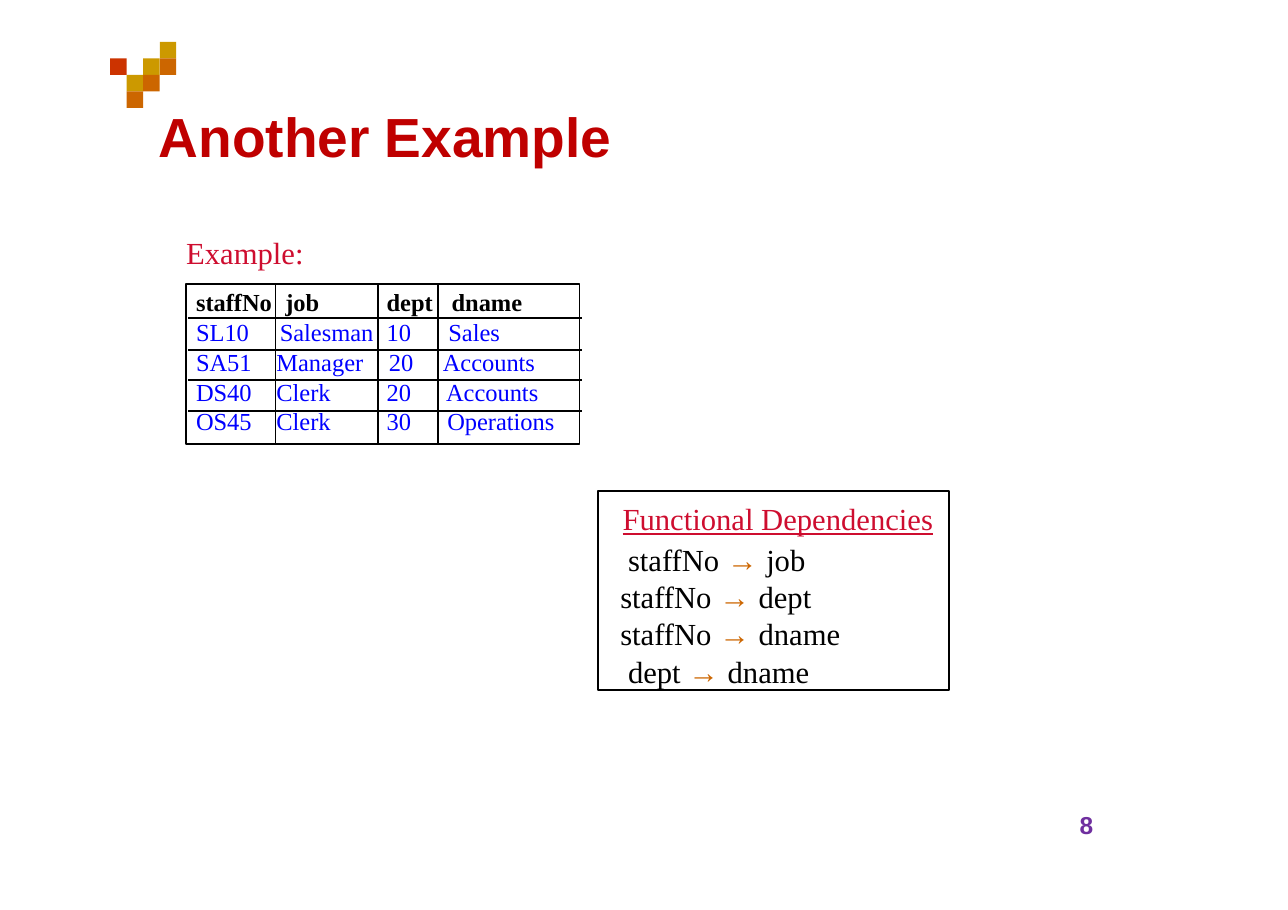
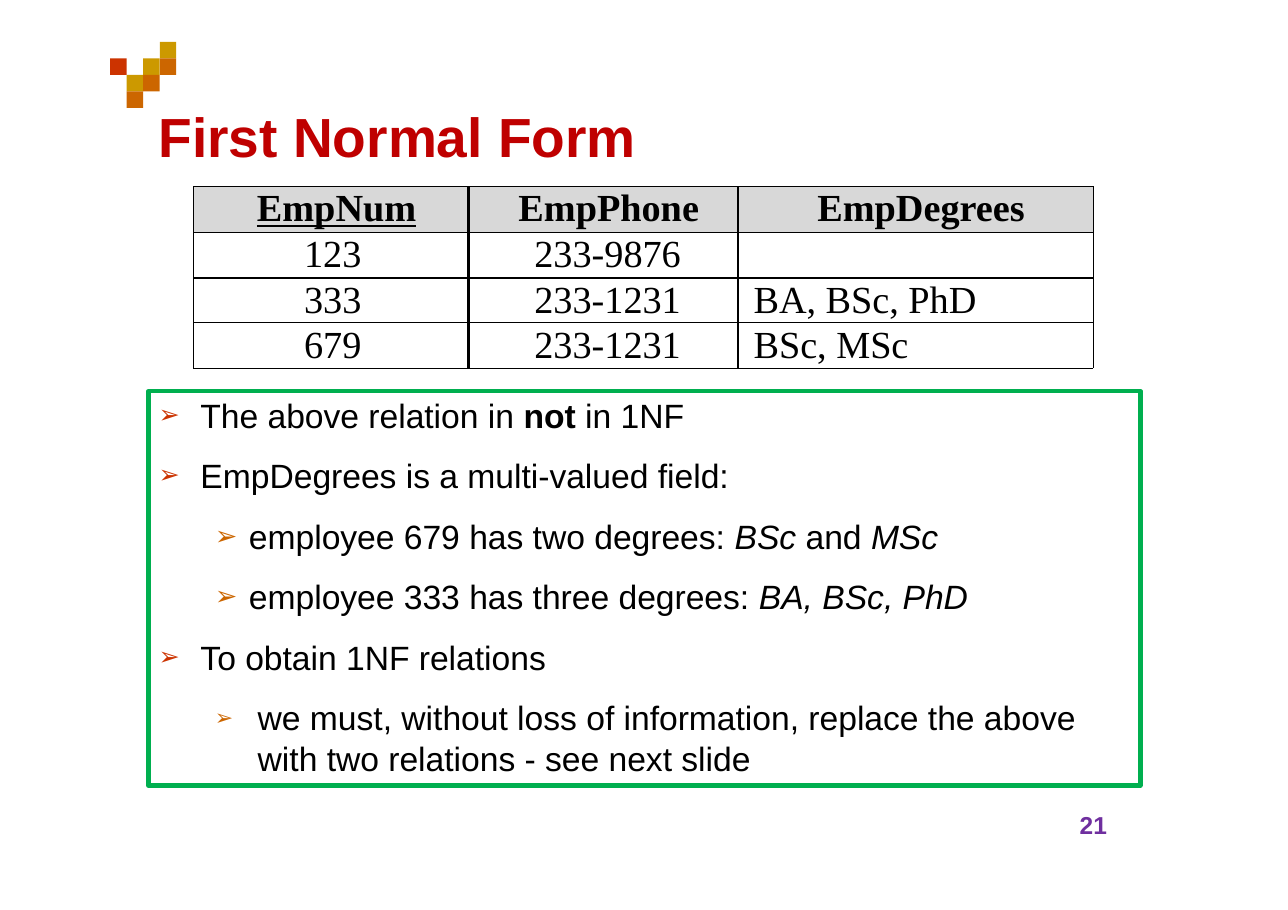
import pptx
import pptx.util
import pptx.dml.color
import pptx.enum.shapes
import pptx.enum.text
import pptx.oxml
import pptx.oxml.ns

Inches, Pt = pptx.util.Inches, pptx.util.Pt
rgb = pptx.dml.color.RGBColor.from_string
RECT = pptx.enum.shapes.MSO_SHAPE.RECTANGLE
ALIGN = pptx.enum.text.PP_ALIGN
NS = pptx.oxml.ns.nsdecls("a")

SANS, SERIF = "Arial", "Times New Roman"
BLACK, BLUE, CRIMSON, GREEN, GREY = "000000", "0000FF", "CE0D2F", "00AF4F", "D8D8D8"
TITLE, NUMBER = "BF0000", "6F2F9F"
GOLD, ORANGE, RED = "CC9900", "CC6600", "CC3300"


def add_run(p, text, size, color, font=SANS, **style):
    r = p.add_run()
    r.text = text
    r.font.name, r.font.size = font, Pt(size)
    r.font.color.rgb = rgb(color)
    for name, value in style.items():
        setattr(r.font, name, value)


def set_frame(sp, left, top, width, height):
    """Place a text shape, clear its insets and return its text frame."""
    sp.left, sp.top = Inches(left), Inches(top)
    sp.width, sp.height = Inches(width), Inches(height)
    tf = sp.text_frame
    tf.word_wrap = True
    tf.auto_size = pptx.enum.text.MSO_AUTO_SIZE.NONE
    tf.vertical_anchor = pptx.enum.text.MSO_ANCHOR.TOP
    tf.margin_left = tf.margin_right = tf.margin_top = tf.margin_bottom = 0
    return tf


prs = pptx.Presentation()
prs.slide_width, prs.slide_height = Inches(11.69), Inches(8.26)

# Shared parts: corner squares, title, page number
squares = [(3, 0, GOLD), (0, 1, RED), (2, 1, GOLD), (3, 1, ORANGE),
           (1, 2, GOLD), (2, 2, ORANGE), (1, 3, ORANGE)]
for title, number in [("Another Example", "8"), ("First Normal Form", "21")]:
    s = prs.slides.add_slide(prs.slide_layouts[5])
    for col, row, color in squares:
        sp = s.shapes.add_shape(RECT, Inches(1 + 0.15 * col), Inches(0.38 + 0.15 * row),
                                Inches(0.15), Inches(0.15))
        sp.shadow.inherit = False
        sp.fill.solid()
        sp.fill.fore_color.rgb = rgb(color)
        sp.line.fill.background()
    p = set_frame(s.shapes.title, 1.44, 0.93, 8.5, 0.63).paragraphs[0]
    p.alignment = ALIGN.LEFT
    add_run(p, title, 36, TITLE, bold=True)
    p = set_frame(s.shapes.add_textbox(0, 0, 0, 0), 9.8, 7.35, 0.4, 0.28).paragraphs[0]
    add_run(p, number, 16, NUMBER, bold=True)

example, normal_form = prs.slides

# Outlined frames
for s, box, color, weight in [
    (example, (1.69, 2.58, 3.57, 1.45), BLACK, 1.25),
    (example, (5.43, 4.46, 3.18, 1.8), BLACK, 1.25),
    (normal_form, (1.35, 3.55, 9, 3.58), GREEN, 3),
]:
    sp = s.shapes.add_shape(RECT, *[Inches(v) for v in box])
    sp.shadow.inherit = False
    sp.fill.background()
    sp.line.color.rgb = rgb(color)
    sp.line.width = Pt(weight)

# Tables: indents are cell left margins, vlines and hlines are rule widths
tables = [
    dict(slide=example, left=1.71, top=2.58, size=16, body=BLUE, fill=None,
         cols=[0.79, 0.93, 0.55, 1.3], rows=[0.31, 0.29, 0.27, 0.28, 0.31],
         leading=[18.5, 18.9, 17.5, 17.5, 16.3], head_margin=0.04,
         vlines=[0, 1, 1, 1.5, 0], hlines=[0, 1.5, 1.5, 1.5, 1.5, 0],
         centred=[], underlined=[],
         indents=[[0.07, 0.09, 0.08, 0.12], [0.07, 0.04, 0.08, 0.09],
                  [0.07, 0.01, 0.1, 0.04], [0.07, 0.01, 0.08, 0.07],
                  [0.07, 0.01, 0.08, 0.08]],
         cells=[["staffNo", "job", "dept", "dname"],
                ["SL10", "Salesman", "10", "Sales"],
                ["SA51", "Manager", "20", "Accounts"],
                ["DS40", "Clerk", "20", "Accounts"],
                ["OS45", "Clerk", "30", "Operations"]]),
    dict(slide=normal_form, left=1.76, top=1.69, size=25, body=BLACK, fill=GREY,
         cols=[2.49, 2.45, 3.22], rows=[0.42, 0.41, 0.41, 0.41],
         leading=[28.7, 28.3, 28.7, 28.9], head_margin=0,
         vlines=[0.75, 2.25, 1.5, 0.25], hlines=[0.25, 0.25, 1.5, 0.5, 0.25],
         centred=[(0, 0), (0, 1), (0, 2)] + [(i, j) for i in (1, 2, 3) for j in (0, 1)],
         underlined=["EmpNum"],
         indents=[[0.1] * 3] + [[0.03, 0.08, 0.14]] * 3,
         cells=[["EmpNum", "EmpPhone", "EmpDegrees"],
                ["123", "233-9876", ""],
                ["333", "233-1231", "BA, BSc, PhD"],
                ["679", "233-1231", "BSc, MSc"]]),
]
for t in tables:
    tbl = t["slide"].shapes.add_table(
        len(t["rows"]), len(t["cols"]), Inches(t["left"]), Inches(t["top"]),
        Inches(sum(t["cols"])), Inches(sum(t["rows"]))).table
    tbl.first_row = tbl.horz_banding = False
    for j, width in enumerate(t["cols"]):
        tbl.columns[j].width = Inches(width)
    for i, height in enumerate(t["rows"]):
        tbl.rows[i].height = Inches(height)
        for j, text in enumerate(t["cells"][i]):
            head = i == 0
            cell = tbl.cell(i, j)
            cell.margin_left = Inches(t["indents"][i][j])
            cell.margin_right = cell.margin_bottom = 0
            cell.margin_top = Inches(t["head_margin"] if head else 0)
            if head and t["fill"]:
                cell.fill.solid()
                cell.fill.fore_color.rgb = rgb(t["fill"])
            else:
                cell.fill.background()
            p = cell.text_frame.paragraphs[0]
            p.line_spacing = Pt(t["leading"][i])
            p.alignment = ALIGN.CENTER if (i, j) in t["centred"] else ALIGN.LEFT
            if text:
                add_run(p, text, t["size"], BLACK if head else t["body"], SERIF,
                        bold=head, underline=text in t["underlined"])
            # Cell borders
            rules = [("lnL", t["vlines"][j]), ("lnR", t["vlines"][j + 1]),
                     ("lnT", t["hlines"][i]), ("lnB", t["hlines"][i + 1])]
            for k, (tag, weight) in enumerate(rules):
                paint = (f'<a:solidFill><a:srgbClr val="{BLACK}"/></a:solidFill>'
                         if weight else "<a:noFill/>")
                cell._tc.get_or_add_tcPr().insert(k, pptx.oxml.parse_xml(
                    f'<a:{tag} {NS} w="{int(Pt(weight))}">{paint}</a:{tag}>'))

# Example label
p = set_frame(example.shapes.add_textbox(0, 0, 0, 0), 1.69, 2.12, 1.2, 0.36).paragraphs[0]
add_run(p, "Example:", 20, CRIMSON, SERIF)

# Functional dependencies
tf = set_frame(example.shapes.add_textbox(0, 0, 0, 0), 5.62, 4.54, 2.95, 1.7)
p = tf.paragraphs[0]
p._p.get_or_add_pPr().set("marL", str(Inches(0.03)))
add_run(p, "Functional Dependencies", 20, CRIMSON, SERIF, underline=True)
for source, target, indent, before in [
    ("staffNo", "job", 0.08, 2.5), ("staffNo", "dept", 0.01, 0),
    ("staffNo", "dname", 0.01, 0.5), ("dept", "dname", 0.08, 1),
]:
    p = tf.add_paragraph()
    p._p.get_or_add_pPr().set("marL", str(Inches(indent)))
    p.space_before = Pt(before)
    add_run(p, source + " ", 20, BLACK, SERIF)
    add_run(p, "→ ", 20, ORANGE)
    add_run(p, target, 20, BLACK, SERIF)

# Bullets: level, text indent, bullet indent, bullet size, runs
points = [
    (0, 0.39, 0.01, 75, [("The above relation in ", {}), ("not", {"bold": True}),
                         (" in 1NF", {})]),
    (0, 0.39, 0.01, 75, [("EmpDegrees is a multi-valued field:", {})]),
    (1, 0.83, 0.52, 80, [("employee 679 has two degrees: ", {}), ("BSc", {"italic": True}),
                         (" and ", {}), ("MSc", {"italic": True})]),
    (1, 0.83, 0.52, 80, [("employee 333 has three degrees: ", {}),
                         ("BA, BSc, PhD", {"italic": True})]),
    (0, 0.39, 0.01, 75, [("To obtain 1NF relations", {})]),
    (1, 0.91, 0.52, 65, [("we must, without loss of information, replace the above "
                          "with two relations - see next slide", {})]),
]
tf = set_frame(normal_form.shapes.add_textbox(0, 0, 0, 0), 1.43, 3.58, 8.4, 3.5)
for n, (level, indent, bullet, size, runs) in enumerate(points):
    p = tf.add_paragraph() if n else tf.paragraphs[0]
    p.level = level
    pPr = p._p.get_or_add_pPr()
    pPr.set("marL", str(Inches(indent)))
    pPr.set("indent", str(Inches(bullet) - Inches(indent)))
    for xml in (f'<a:buClr {NS}><a:srgbClr val="{ORANGE if level else RED}"/></a:buClr>',
                f'<a:buSzPct {NS} val="{size * 1000}"/>',
                f'<a:buFont {NS} typeface="{SANS}"/>',
                f'<a:buChar {NS} char="➢"/>'):
        pPr.append(pptx.oxml.parse_xml(xml))
    p.line_spacing = Pt(26.4)
    if n:
        p.space_before = Pt(13.2)
    for text, style in runs:
        add_run(p, text, 22, BLACK, **style)

prs.save("out.pptx")
